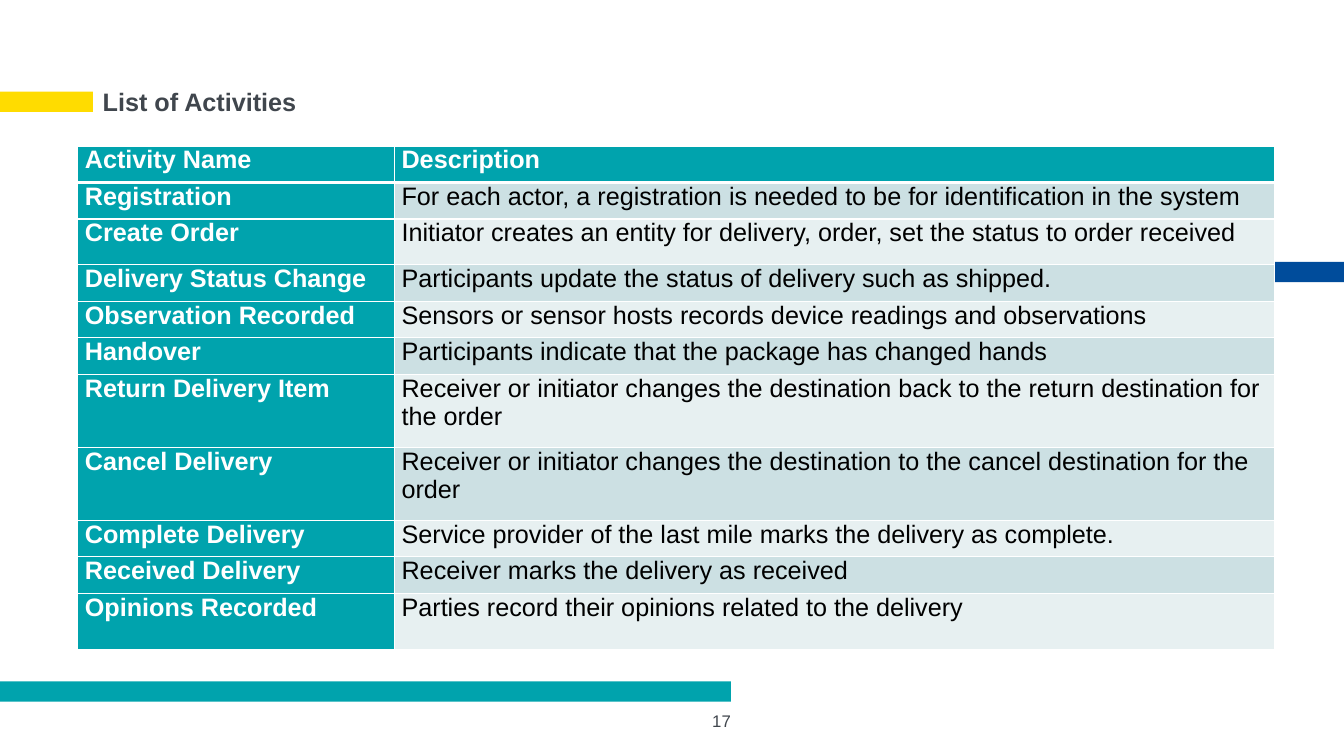
from typing import NamedTuple

from lxml.etree import SubElement
from pptx import Presentation
from pptx.dml.color import RGBColor
from pptx.enum.shapes import MSO_SHAPE
from pptx.enum.text import MSO_ANCHOR, PP_ALIGN
from pptx.oxml.ns import qn
from pptx.slide import Slide
from pptx.table import _Cell
from pptx.text.text import TextFrame
from pptx.util import Cm, Pt

TEAL = RGBColor(0x00, 0xA3, 0xAD)
YELLOW = RGBColor(0xFF, 0xDC, 0x00)
BLUE = RGBColor(0x00, 0x4C, 0x9B)
GREY = RGBColor(0x40, 0x46, 0x4D)
DARK = RGBColor(0xCC, 0xE0, 0xE3)
LIGHT = RGBColor(0xE7, 0xF0, 0xF1)
WHITE = RGBColor(0xFF, 0xFF, 0xFF)
BLACK = RGBColor(0x00, 0x00, 0x00)

ROW = 0.92
COLS = (7.98, 22.17)


class Bar(NamedTuple):
    left: float
    top: float
    width: float
    color: RGBColor


class Entry(NamedTuple):
    name: str
    text: str
    height: float = ROW


BARS = (
    Bar(0, 2.31, 2.34, YELLOW),
    Bar(0, 17.17, 18.42, TEAL),
    Bar(31.55, 6.6, 2.39, BLUE),
)

ENTRIES = (
    Entry("Activity Name", "Description"),
    Entry("Registration", "For each actor, a registration is needed to be for identification in the system"),
    Entry("Create Order", "Initiator creates an entity for delivery, order, set the status to order received", 1.15),
    Entry("Delivery Status Change", "Participants update the status of delivery such as shipped."),
    Entry("Observation Recorded", "Sensors or sensor hosts records device readings and observations"),
    Entry("Handover", "Participants indicate that the package has changed hands"),
    Entry("Return Delivery Item",
          "Receiver or initiator changes the destination back to the return destination for the order", 2 * ROW),
    Entry("Cancel Delivery",
          "Receiver or initiator changes the destination to the cancel destination for the order", 2 * ROW),
    Entry("Complete Delivery", "Service provider of the last mile marks the delivery as complete."),
    Entry("Received Delivery", "Receiver marks the delivery as received"),
    Entry("Opinions Recorded", "Parties record their opinions related to the delivery", 1.41),
)


def write(frame: TextFrame, text: str, *, size: float = 18, color: RGBColor = GREY,
          bold: bool = False, align: PP_ALIGN = PP_ALIGN.LEFT, spacing: float = 1.0) -> None:
    frame.word_wrap = True
    para = frame.paragraphs[0]
    para.alignment = align
    para.line_spacing = spacing
    run = para.add_run()
    run.text = text
    run.font.name = "Arial"
    run.font.size = Pt(size)
    run.font.bold = bold
    run.font.color.rgb = color


def add_bar(slide: Slide, bar: Bar) -> None:
    shape = slide.shapes.add_shape(
        MSO_SHAPE.RECTANGLE, Cm(bar.left), Cm(bar.top), Cm(bar.width), Cm(0.51))
    shape.shadow.inherit = False
    shape.fill.solid()
    shape.fill.fore_color.rgb = bar.color
    shape.line.fill.background()


def add_box(slide: Slide, left: float, top: float, width: float, height: float) -> TextFrame:
    """Add a text box with its text in the middle and return its frame."""
    frame = slide.shapes.add_textbox(Cm(left), Cm(top), Cm(width), Cm(height)).text_frame
    frame.vertical_anchor = MSO_ANCHOR.MIDDLE
    return frame


def add_edges(cell: _Cell, **widths: float) -> None:
    """Draw white borders; the schema wants the order L, R, T, B."""
    props = cell._tc.get_or_add_tcPr()
    for side, width in widths.items():
        line = SubElement(props, qn(f"a:ln{side}"), w=str(Pt(width)))
        fill = SubElement(line, qn("a:solidFill"))
        SubElement(fill, qn("a:srgbClr"), val=str(WHITE))


def fill_cell(cell: _Cell, text: str, fill: RGBColor, head: bool, top: float, base: float) -> None:
    cell.margin_left = cell.margin_right = Cm(0.18)
    cell.margin_top = cell.margin_bottom = 0
    add_edges(cell, L=1, R=1, T=top, B=base)
    cell.fill.solid()
    cell.fill.fore_color.rgb = fill
    write(cell.text_frame, text, color=WHITE if head else BLACK, bold=head)


def add_grid(slide: Slide) -> None:
    """Add the table of activities."""
    total = sum(entry.height for entry in ENTRIES)
    table = slide.shapes.add_table(
        len(ENTRIES), len(COLS), Cm(1.96), Cm(3.68), Cm(sum(COLS)), Cm(total)).table
    for col, width in zip(table.columns, COLS):
        col.width = Cm(width)
    for i, entry in enumerate(ENTRIES):
        table.rows[i].height = Cm(entry.height)
        top = 3 if i == 1 else 1
        base = 3 if i == 0 else 1
        band = DARK if i % 2 else LIGHT
        for j, text in enumerate((entry.name, entry.text)):
            head = i == 0 or j == 0
            fill_cell(table.cell(i, j), text, TEAL if head else band, head, top, base)


def main() -> None:
    deck = Presentation()
    deck.slide_width, deck.slide_height = Cm(33.87), Cm(19.05)
    slide = deck.slides.add_slide(deck.slide_layouts[6])
    for bar in BARS:
        add_bar(slide, bar)
    write(add_box(slide, 2.34, 0.76, 26.47, 3.68), "List of Activities", bold=True, spacing=0.9)
    write(add_box(slide, 13.87, 17.65, 4.8, 1.02), "17", size=12, align=PP_ALIGN.RIGHT)
    add_grid(slide)
    deck.save("out.pptx")


if __name__ == "__main__":
    main()
